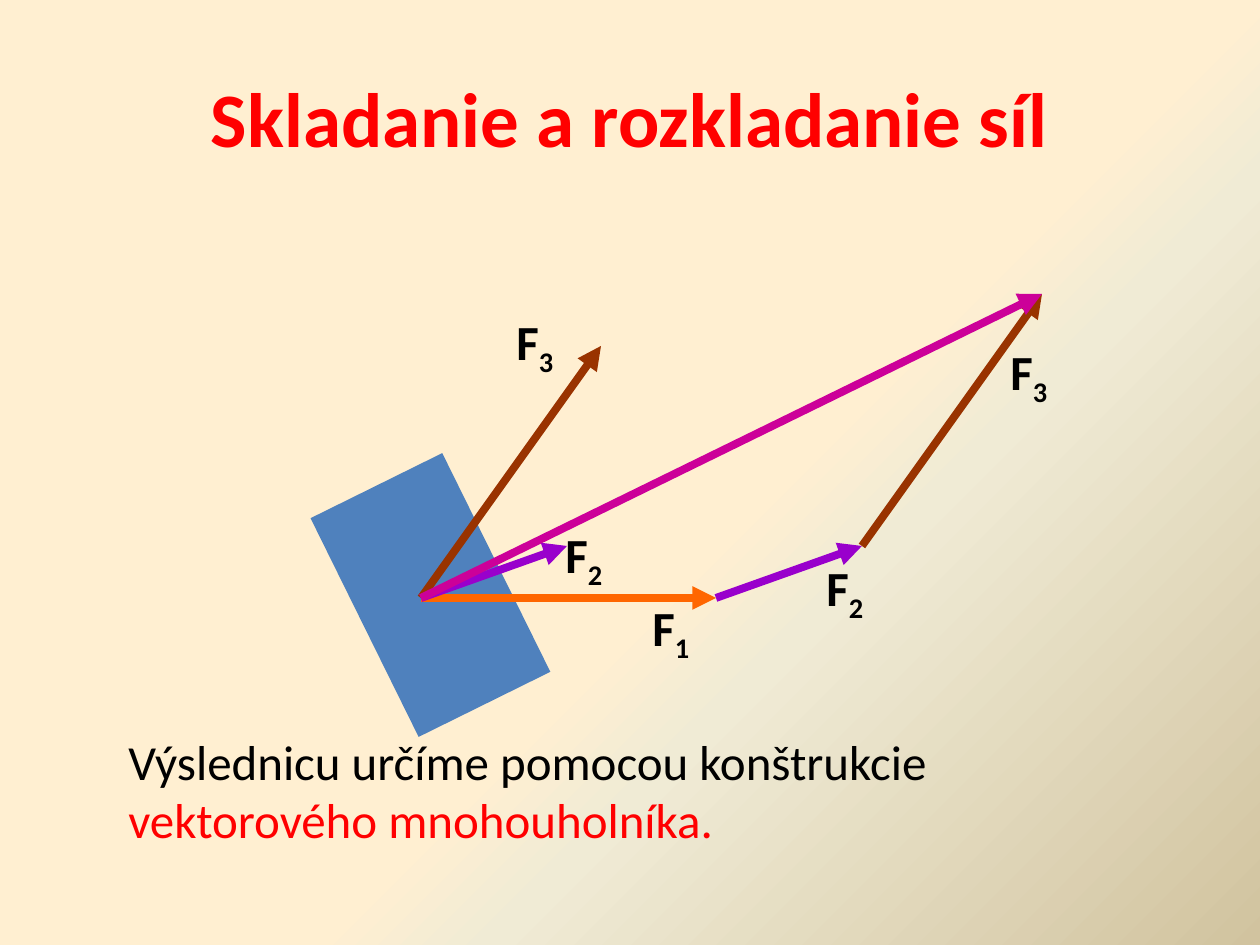
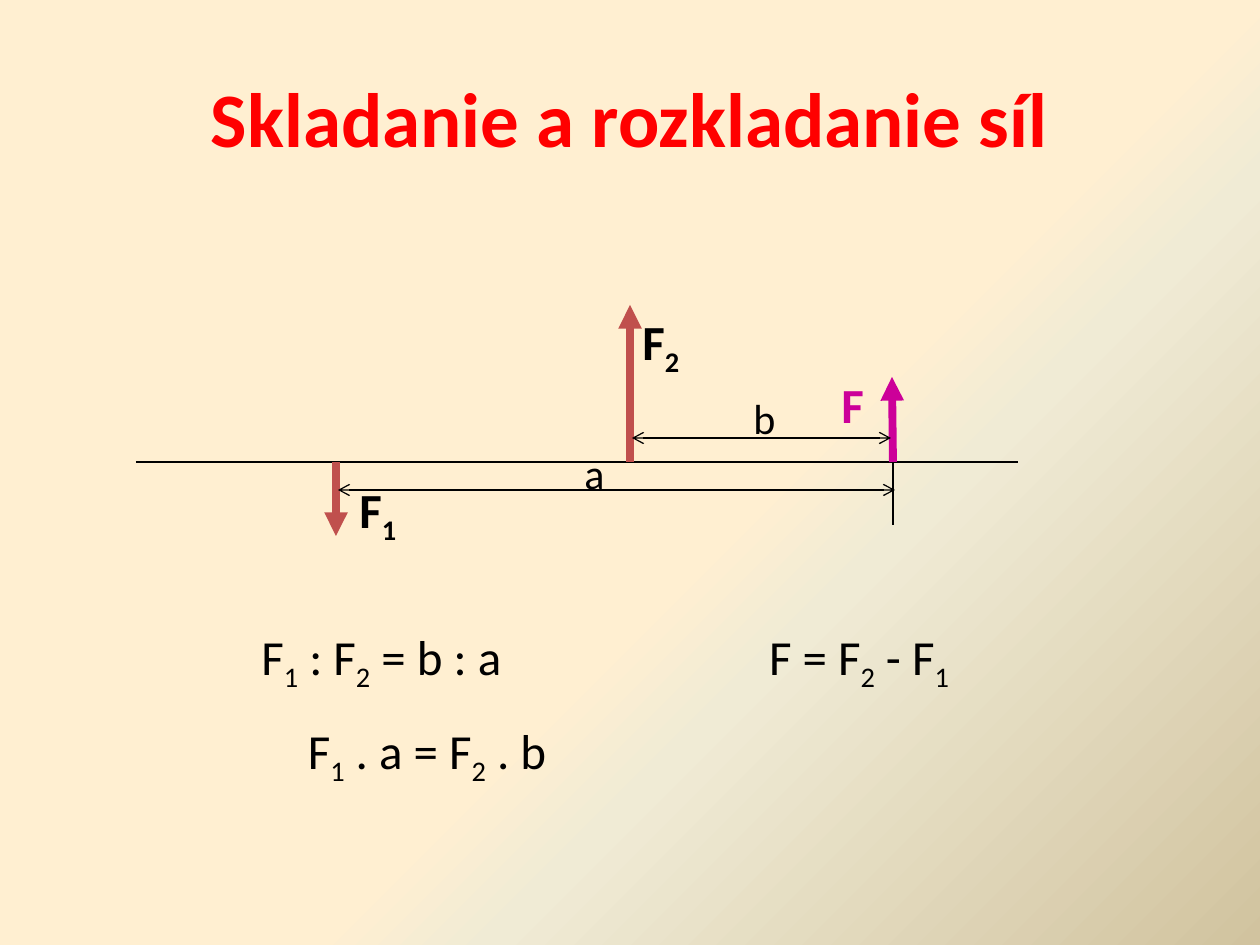
from lxml import etree
from pptx import Presentation
from pptx.dml.color import RGBColor
from pptx.enum.shapes import MSO_CONNECTOR, MSO_SHAPE
from pptx.enum.text import MSO_ANCHOR, MSO_AUTO_SIZE, PP_ALIGN
from pptx.oxml.ns import qn
from pptx.util import Emu, Pt

STRAIGHT = MSO_CONNECTOR.STRAIGHT
RECTANGLE = MSO_SHAPE.RECTANGLE
LEFT, CENTER = PP_ALIGN.LEFT, PP_ALIGN.CENTER
TOP, MIDDLE = MSO_ANCHOR.TOP, MSO_ANCHOR.MIDDLE
FIT_SHAPE, NO_FIT = MSO_AUTO_SIZE.SHAPE_TO_FIT_TEXT, MSO_AUTO_SIZE.NONE

EMU_PER_PX = 914400 / 126
SLIDE_WIDTH, SLIDE_HEIGHT = 1260, 945
FONT = "Calibri"
BLACK, RED, BLUE = "000000", "FF0000", "4F81BD"
ORANGE, VIOLET, BROWN = "FF6600", "9900CC", "993300"
MAGENTA, BRICK = "CC0099", "C0504D"
BACKGROUND_STOPS = [(57, "FFEFD1"), (65, "F0EBD5"), (100, "D1C39F")]
TITLE = "Skladanie a rozkladanie síl"
LABEL_HEIGHT = 72
FORCE_WIDTH, THIN_WIDTH = 4.5, 0.75


def px(length):
    """Turn px into EMU."""
    return Emu(round(length * EMU_PER_PX))


def color(hex_string):
    """Turn a hex string into a colour."""
    return RGBColor.from_string(hex_string)


def add_run(paragraph, text, size, hex_string, bold, subscript=False):
    """Add one formatted run to a paragraph."""
    run = paragraph.add_run()
    run.text = text
    run.font.name = FONT
    run.font.size = Pt(size)
    run.font.bold = bold
    run.font.color.rgb = color(hex_string)
    if subscript:
        run.font._element.set("baseline", "-25000")


def add_text(slide, text, left, top, width, height=LABEL_HEIGHT, size=28,
             hex_string=BLACK, bold=False, align=LEFT, anchor=TOP,
             fit=FIT_SHAPE, ending="", ending_color=RED):
    """Add a text box where an underscore lowers the next character."""
    box = slide.shapes.add_textbox(px(left), px(top), px(width), px(height))
    frame = box.text_frame
    frame.word_wrap = True
    frame.auto_size = fit
    frame.vertical_anchor = anchor
    paragraph = frame.paragraphs[0]
    paragraph.alignment = align
    first, *lowered = text.split("_")
    add_run(paragraph, first, size, hex_string, bold)
    for part in lowered:
        add_run(paragraph, part[0], size, hex_string, bold, subscript=True)
        if part[1:]:
            add_run(paragraph, part[1:], size, hex_string, bold)
    if ending:
        add_run(paragraph, ending, size, ending_color, bold)


def add_line(slide, start, end, hex_string=BLACK, width=THIN_WIDTH,
             head=None, tail=None):
    """Add a straight line with optional arrowheads at its start and end."""
    connector = slide.shapes.add_connector(
        STRAIGHT, px(start[0]), px(start[1]), px(end[0]), px(end[1]))
    connector.line.color.rgb = color(hex_string)
    connector.line.width = Pt(width)
    properties = connector.element.spPr
    outline = properties.find(qn("a:ln"))
    for tag, kind in (("a:headEnd", head), ("a:tailEnd", tail)):
        if kind:
            etree.SubElement(outline, qn(tag), type=kind)
    etree.SubElement(properties, qn("a:effectLst"))


def add_force(slide, start, end, hex_string):
    """Add a thick force arrow."""
    add_line(slide, start, end, hex_string, FORCE_WIDTH, tail="triangle")


def add_dimension(slide, left, right, y):
    """Add a thin horizontal arrow with two heads."""
    add_line(slide, (left, y), (right, y), head="arrow", tail="arrow")


def move(point, vector):
    """Return the point shifted by the vector."""
    return point[0] + vector[0], point[1] + vector[1]


def set_background(slide):
    """Fill the background with the shared diagonal gradient."""
    fill = slide.background.fill
    fill.gradient()
    fill.gradient_angle = 315
    stops = slide.element.find(".//" + qn("a:gsLst"))
    for stop in list(stops):
        stops.remove(stop)
    for percent, hex_string in BACKGROUND_STOPS:
        stop = etree.SubElement(stops, qn("a:gs"), pos=str(percent * 1000))
        etree.SubElement(stop, qn("a:srgbClr"), val=hex_string)


def add_titled_slide(presentation):
    """Add a blank slide with the shared background and title."""
    slide = presentation.slides.add_slide(presentation.slide_layouts[6])
    set_background(slide)
    add_text(slide, TITLE, 63, 38, 1134, 158, size=44, hex_string=RED,
             bold=True, align=CENTER, anchor=MIDDLE, fit=NO_FIT)
    return slide


def add_body(slide):
    """Add the tilted block on which the forces act."""
    body = slide.shapes.add_shape(RECTANGLE, px(357), px(473), px(147), px(244))
    body.rotation = 333.7
    body.shadow.inherit = False
    body.fill.solid()
    body.fill.fore_color.rgb = color(BLUE)
    body.line.fill.background()


def build_polygon_slide(presentation):
    """Build the slide on the vector polygon."""
    slide = add_titled_slide(presentation)
    add_body(slide)
    origin = (421, 598)
    force_1, force_2, force_3 = (295, 0), (146, -52), (180, -252)
    end_1 = move(origin, force_1)
    end_2 = move(end_1, force_2)
    end_3 = move(end_2, force_3)
    for start, end, hex_string in [
        (origin, move(origin, force_3), BROWN),
        (end_1, end_2, VIOLET),
        (end_2, end_3, BROWN),
        (origin, end_1, ORANGE),
        (origin, move(origin, force_2), VIOLET),
        (origin, end_3, MAGENTA),
    ]:
        add_force(slide, start, end, hex_string)
    for name, left, top in [
        ("F_1", 640, 591), ("F_3", 504, 305), ("F_2", 553, 518),
        ("F_2", 814, 551), ("F_3", 998, 335),
    ]:
        add_text(slide, name, left, top, 126, bold=True)
    add_text(slide, "Výslednicu určíme pomocou konštrukcie ", 116, 725, 1061, 130,
             ending="vektorového mnohouholníka.")


def build_parallel_slide(presentation):
    """Build the slide on opposite parallel forces."""
    slide = add_titled_slide(presentation)
    axis, x_1, x_2, x_result = 462, 336, 630, 893
    add_line(slide, (x_result, 451), (x_result, 525))
    add_line(slide, (136, axis), (1018, axis))
    add_force(slide, (x_1, axis), (x_1, 536), BRICK)
    add_force(slide, (x_2, axis), (x_2, 305), BRICK)
    add_force(slide, (x_result, axis), (x_result - 1, 377), MAGENTA)
    add_dimension(slide, x_2 + 2, x_result - 2, 438)
    add_dimension(slide, x_1 + 2, x_result + 2, 490)
    add_text(slide, "F_1", 347, 473, 136, bold=True)
    add_text(slide, "F_2", 630, 305, 126, bold=True)
    add_text(slide, "F", 829, 368, 53, bold=True, hex_string=MAGENTA)
    add_text(slide, "b", 741, 386, 42, 63, size=24)
    add_text(slide, "a", 572, 441, 73, 63, size=24)
    add_text(slide, "F_1 : F_2 = b : a", 249, 620, 410)
    add_text(slide, "F = F_2 - F_1", 717, 620, 284, align=CENTER)
    add_text(slide, "F_1 . a = F_2 . b", 255, 714, 344, align=CENTER)


def main():
    """Build and save the presentation."""
    presentation = Presentation()
    presentation.slide_width = px(SLIDE_WIDTH)
    presentation.slide_height = px(SLIDE_HEIGHT)
    build_polygon_slide(presentation)
    build_parallel_slide(presentation)
    presentation.save("out.pptx")


if __name__ == "__main__":
    main()
